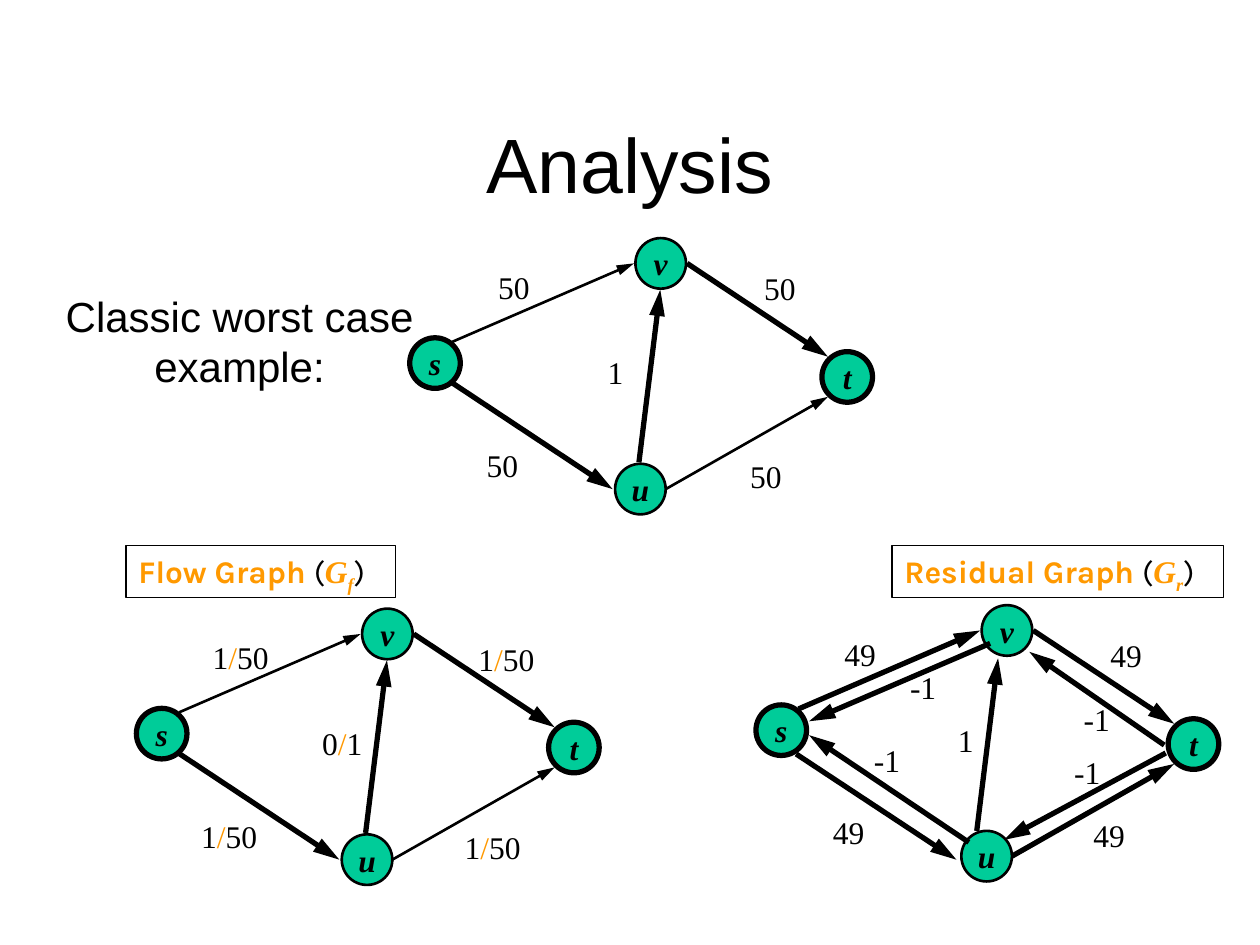
from dataclasses import dataclass

from lxml.etree import SubElement
from pptx import Presentation
from pptx.dml.color import RGBColor
from pptx.enum.shapes import MSO_CONNECTOR, MSO_SHAPE
from pptx.enum.text import MSO_ANCHOR, MSO_AUTO_SIZE, PP_ALIGN
from pptx.oxml.ns import qn
from pptx.util import Cm, Pt


@dataclass(frozen=True)
class Theme:
    """Colours, fonts and sizes of the slide."""
    black: RGBColor = RGBColor(0x00, 0x00, 0x00)
    green: RGBColor = RGBColor(0x00, 0xCC, 0x99)
    orange: RGBColor = RGBColor(0xFF, 0x99, 0x00)
    sans: str = "Arial"
    serif: str = "Times New Roman"
    heading: str = "Karla"
    title_size: Pt = Pt(44)
    note_size: Pt = Pt(24)
    graph_size: Pt = Pt(18)
    thick: Pt = Pt(3)
    thin: Pt = Pt(1.5)
    border: Pt = Pt(0.75)


THEME = Theme()
DIAMETER = 1.02
NODES = {"t": (8.31, 0.28), "s": (0, 0), "v": (4.55, -2.01), "u": (4.14, 2.54)}
EDGES = {
    "sv": (0.86, 0.08, 4.52, -1.5),
    "su": (0.86, 0.91, 4.09, 3.05),
    "vt": (5.59, -1.5, 8.43, 0.38),
    "ut": (5.16, 3.05, 8.43, 1.19),
    "uv": (4.62, 2.51, 5.05, -0.97),
}
LABEL_CENTRES = {
    "uv": (4.15, 0.7), "vt": (7.46, -1), "sv": (2.1, -1.03),
    "su": (1.87, 2.57), "ut": (7.18, 2.79),
}
RESIDUAL_EDGES = EDGES | {
    "su": (0.81, 0.99, 4.04, 3.12),
    "uv": (4.45, 2.54, 4.88, -0.94),
}
RESIDUAL_CENTRES = LABEL_CENTRES | {"uv": (4.23, 0.71), "ut": (7.12, 2.62)}
BACK_EDGES = {
    "vt": (5.51, -1.07, 8.23, 0.81),
    "su": (1.07, 0.61, 4.29, 2.77),
    "sv": (1.07, 0.33, 4.72, -1.24),
    "ut": (5, 2.72, 8.26, 0.97),
}
BACK_CENTRES = {
    "su": (2.64, 1.12), "vt": (6.87, 0.28), "sv": (3.37, -0.36), "ut": (6.68, 1.35),
}


def add_run(paragraph, text, color=THEME.black, baseline=None, **formats):
    """Add a run with the given font values."""
    run = paragraph.add_run()
    run.text = text
    for name, value in formats.items():
        setattr(run.font, name, value)
    run.font.color.rgb = color
    if baseline:
        run._r.get_or_add_rPr().set("baseline", str(baseline))


def set_frame(shape, **formats):
    """Set text frame values and return the first paragraph."""
    frame = shape.text_frame
    for name, value in ({"word_wrap": False} | formats).items():
        setattr(frame, name, value)
    return frame.paragraphs[0]


def add_text(slide, lines, left, top, width, height, **formats):
    """Add a text box of centred lines."""
    box = slide.shapes.add_textbox(Cm(left), Cm(top), Cm(width), Cm(height))
    paragraph = set_frame(box, vertical_anchor=MSO_ANCHOR.MIDDLE)
    for index, line in enumerate(lines):
        if index:
            paragraph = box.text_frame.add_paragraph()
        paragraph.alignment = PP_ALIGN.CENTER
        add_run(paragraph, line, name=THEME.sans, **formats)


def add_outlined(slide, kind, place, width):
    """Add an unfilled preset shape with a black outline."""
    shape = slide.shapes.add_shape(kind, *(Cm(length) for length in place))
    shape.shadow.inherit = False
    shape.fill.background()
    shape.line.color.rgb = THEME.black
    shape.line.width = width
    return shape


def add_node(slide, name, left, top):
    """Add a round node; source and sink have a thick outline."""
    width = THEME.thick if name in "st" else THEME.thin
    node = add_outlined(slide, MSO_SHAPE.OVAL, (left, top, DIAMETER, DIAMETER), width)
    node.fill.solid()
    node.fill.fore_color.rgb = THEME.green
    paragraph = set_frame(node, vertical_anchor=MSO_ANCHOR.MIDDLE)
    paragraph.alignment = PP_ALIGN.CENTER
    add_run(paragraph, name, name=THEME.serif, size=THEME.graph_size, bold=True, italic=True)


def add_label(slide, text, center_x, center_y):
    """Add an edge label around its centre, with an orange slash."""
    width = 0.51 + sum(0.32 if mark.isdigit() else 0.25 for mark in text)
    height = 1.02
    box = slide.shapes.add_textbox(
        Cm(center_x - width / 2), Cm(center_y - height / 2), Cm(width), Cm(height))
    paragraph = set_frame(box, auto_size=MSO_AUTO_SIZE.SHAPE_TO_FIT_TEXT)
    paragraph.alignment = PP_ALIGN.CENTER
    for part in filter(None, text.partition("/")):
        color = THEME.orange if part == "/" else THEME.black
        add_run(paragraph, part, color, name=THEME.serif, size=THEME.graph_size)


def add_arrow(slide, ends, width, arrow_end):
    """Add a straight edge with an arrowhead at one end."""
    arrow = slide.shapes.add_connector(MSO_CONNECTOR.STRAIGHT, *(Cm(end) for end in ends))
    arrow.line.color.rgb = THEME.black
    arrow.line.width = width
    head = SubElement(arrow.line._get_or_add_ln(), qn(f"a:{arrow_end}"))
    for name, value in {"type": "triangle", "w": "med", "len": "lg"}.items():
        head.set(name, value)
    SubElement(arrow._element.spPr, qn("a:effectLst"))


def add_edges(slide, origin, edges, centres, labels, thick, arrow_end="tailEnd"):
    """Add labelled edges relative to the graph origin."""
    left, top = origin
    for name, text in labels.items():
        x, y = centres[name]
        add_label(slide, text, left + x, top + y)
    for name, (x1, y1, x2, y2) in edges.items():
        width = THEME.thick if name in thick else THEME.thin
        ends = (left + x1, top + y1, left + x2, top + y2)
        add_arrow(slide, ends, width, arrow_end)


def add_graph(slide, origin, labels, edges=EDGES, centres=LABEL_CENTRES,
              thick=("su", "vt", "uv")):
    """Add the four nodes and five forward edges of a graph."""
    for name, (x, y) in NODES.items():
        add_node(slide, name, origin[0] + x, origin[1] + y)
    add_edges(slide, origin, edges, centres, labels, thick)


def add_caption(slide, text, subscript, left, width):
    """Add a boxed graph name with its symbol."""
    box = add_outlined(slide, MSO_SHAPE.RECTANGLE, (left, 11, width, 1.04), THEME.border)
    paragraph = set_frame(box, vertical_anchor=MSO_ANCHOR.TOP,
                          auto_size=MSO_AUTO_SIZE.SHAPE_TO_FIT_TEXT)
    paragraph.alignment = PP_ALIGN.LEFT
    plain = {"name": THEME.heading, "size": THEME.graph_size, "bold": False}
    strong = plain | {"bold": True, "color": THEME.orange}
    symbol = strong | {"name": THEME.serif, "italic": True}
    add_run(paragraph, f"{text} ", **strong)
    add_run(paragraph, "(", **plain)
    add_run(paragraph, "G", **symbol)
    add_run(paragraph, subscript, baseline=-25000, **symbol)
    add_run(paragraph, ")", **plain)


def main():
    """Build the slide and save it."""
    presentation = Presentation()
    presentation.slide_width, presentation.slide_height = Cm(25.4), Cm(19.05)
    slide = presentation.slides.add_slide(presentation.slide_layouts[6])
    add_text(slide, ["Analysis"], 1.9, 1.7, 21.6, 3.18, size=THEME.title_size)
    capacities = dict.fromkeys(LABEL_CENTRES, "50") | {"uv": "1"}
    flows = dict.fromkeys(LABEL_CENTRES, "1/50") | {"uv": "0/1"}
    residuals = dict.fromkeys(LABEL_CENTRES, "49") | {"uv": "1"}
    add_graph(slide, (8.26, 6.81), capacities)
    add_graph(slide, (2.75, 14.28), flows)
    add_text(slide, ["Classic worst case", "example:"], 1.07, 5.72, 7.52, 2.29,
             size=THEME.note_size)
    add_caption(slide, "Flow Graph", "f", 2.54, 5.44)
    add_caption(slide, "Residual Graph", "r", 17.98, 6.68)
    residual_origin = (15.24, 14.21)
    add_graph(slide, residual_origin, residuals, RESIDUAL_EDGES, RESIDUAL_CENTRES, EDGES)
    add_edges(slide, residual_origin, BACK_EDGES, BACK_CENTRES,
              dict.fromkeys(BACK_CENTRES, "-1"), BACK_EDGES, "headEnd")
    presentation.save("out.pptx")


if __name__ == "__main__":
    main()
